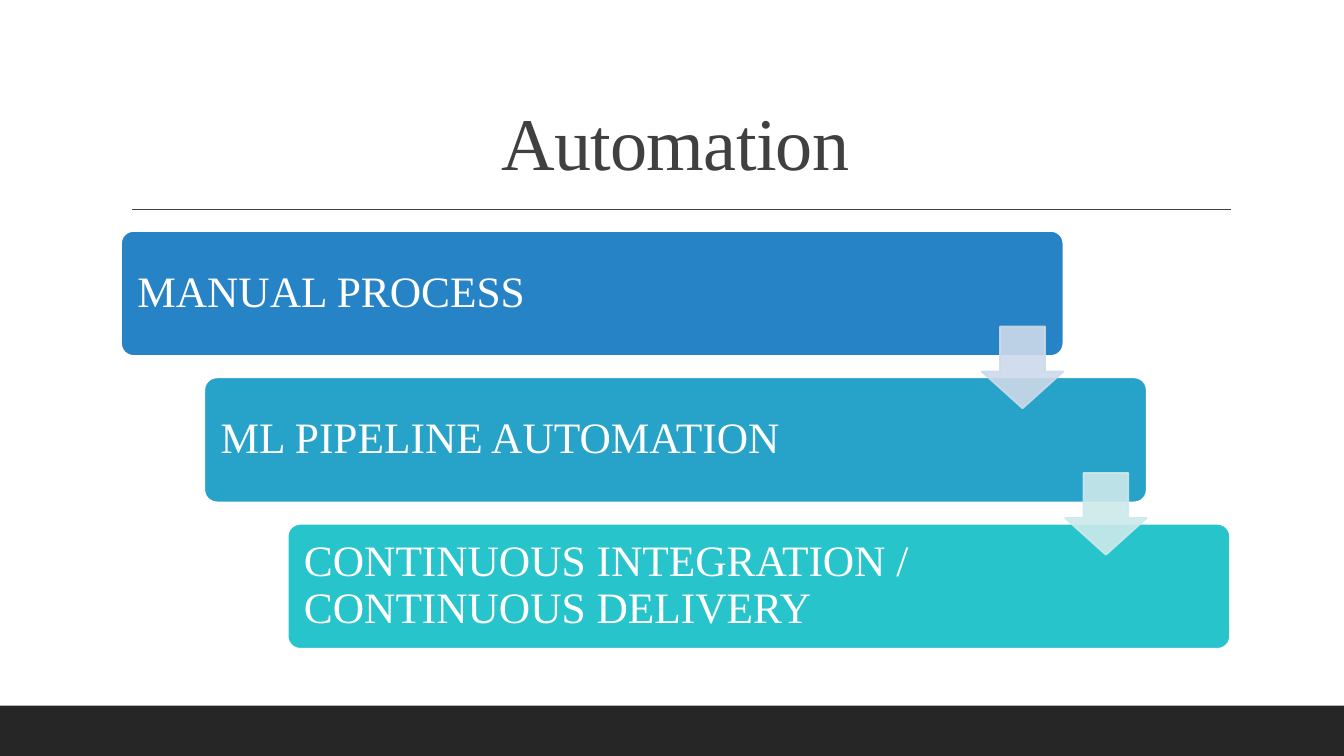
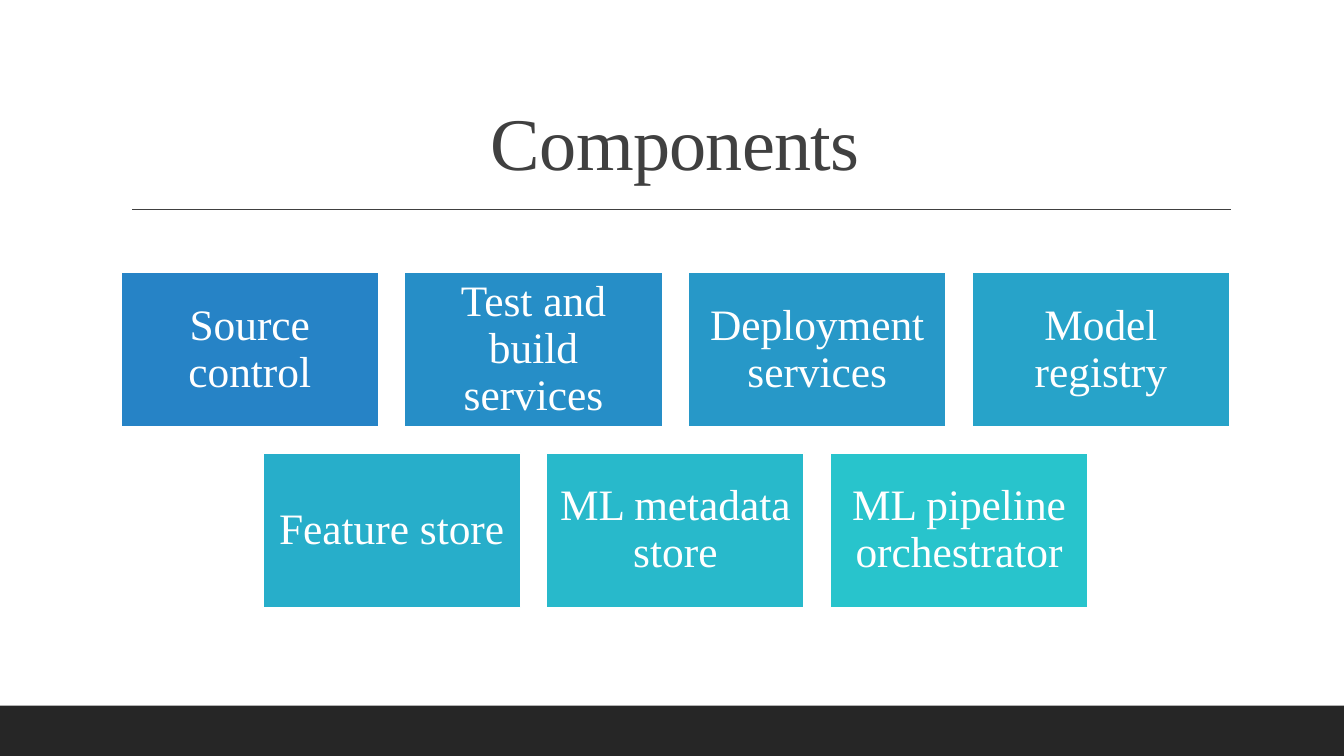
from pptx import Presentation, util as u
from pptx.dml import color
from pptx.enum import shapes, text
from pptx.oxml import ns, xmlchemy

RAMP = ["2683C6", "268EC7", "2798C8", "27A3C9", "27AECA", "28B9CB", "28C4CC"]
STAGES = ["MANUAL PROCESS", "ML PIPELINE AUTOMATION",
          "CONTINUOUS INTEGRATION / CONTINUOUS DELIVERY"]
ARROW_TINTS = ["CDD9EA", "CDE9EC"]
COMPONENT_ROWS = [
    ["Source control", "Test and build services", "Deployment services", "Model registry"],
    ["Feature store", "ML metadata store", "ML pipeline orchestrator"],
]
LEFT, CONTENT_WIDTH = 3.05, 27.94


def rgb(code):
    return color.RGBColor.from_string(code)


class Deck:
    font = "Times New Roman"
    ink, white, dark = "404040", "FFFFFF", "262626"
    title_size, label_size = 53, 31
    inset = 0.32

    def __init__(self):
        self.deck = Presentation()
        self.deck.slide_width, self.deck.slide_height = u.Cm(33.87), u.Cm(19.05)
        self.slide = None

    def start(self, heading):
        self.slide = self.deck.slides.add_slide(self.deck.slide_layouts[5])
        backdrop = self.slide.background.fill
        backdrop.solid()
        backdrop.fore_color.rgb = rgb(self.white)
        self.title(heading)
        self.rule(3.33, 31.01, 5.28)
        self.block(shapes.MSO_SHAPE.RECTANGLE, 0, 17.78, 33.87, 1.27, self.dark)

    def title(self, heading):
        title = self.slide.shapes.title
        title.left, title.top = u.Cm(LEFT), u.Cm(0.79)
        title.width, title.height = u.Cm(CONTENT_WIDTH), u.Cm(4.04)
        frame = title.text_frame
        frame.auto_size = text.MSO_AUTO_SIZE.NONE
        frame.vertical_anchor = text.MSO_ANCHOR.BOTTOM
        run = self.add_words(frame, heading, self.title_size, self.ink, text.PP_ALIGN.CENTER)
        run.font._element.set("spc", "-50")

    def rule(self, start, end, y):
        rule = self.slide.shapes.add_connector(
            shapes.MSO_CONNECTOR.STRAIGHT, u.Cm(start), u.Cm(y), u.Cm(end), u.Cm(y))
        rule.line.color.rgb = rgb(self.ink)
        rule.line.width = u.Pt(1)
        rule._element.spPr.append(xmlchemy.OxmlElement("a:effectLst"))

    def block(self, preset, x, y, width, height, fill, outline=None, adjust=()):
        block = self.slide.shapes.add_shape(
            preset, u.Cm(x), u.Cm(y), u.Cm(width), u.Cm(height))
        block.shadow.inherit = False
        block.fill.solid()
        block.fill.fore_color.rgb = rgb(fill)
        if outline:
            block.line.color.rgb = rgb(outline)
            block.line.width = u.Pt(1.25)
        else:
            block.line.fill.background()
        for index, value in enumerate(adjust):
            block.adjustments[index] = value
        return block

    def label(self, block, words, align, right_inset=None):
        frame = block.text_frame
        frame.margin_left = frame.margin_top = frame.margin_bottom = u.Cm(self.inset)
        frame.margin_right = u.Cm(right_inset or self.inset)
        frame.vertical_anchor = text.MSO_ANCHOR.MIDDLE
        self.add_words(frame, words, self.label_size, self.white, align)

    def add_words(self, frame, words, size, ink, align):
        frame.word_wrap = True
        paragraph = frame.paragraphs[0]
        paragraph.alignment = align
        paragraph.line_spacing = 0.9
        run = paragraph.add_run()
        run.text = words
        run.font.name, run.font.size = self.font, u.Pt(size)
        run.font.color.rgb = rgb(ink)
        return run

    def stage(self, words, x, y, width, height, fill):
        bar = self.block(shapes.MSO_SHAPE.ROUNDED_RECTANGLE, x, y, width, height,
                         fill, self.white, [0.1])
        self.label(bar, words, text.PP_ALIGN.LEFT, 4.47)

    def arrow(self, x, y, size, tint):
        arrow = self.block(shapes.MSO_SHAPE.DOWN_ARROW, x, y, size, size,
                           tint, tint, [0.55, 0.45])
        for shade in arrow._element.spPr.iter(ns.qn("a:srgbClr")):
            alpha = xmlchemy.OxmlElement("a:alpha")
            alpha.set("val", "90000")
            shade.append(alpha)

    def card(self, words, x, y, width, height, fill):
        card = self.block(shapes.MSO_SHAPE.RECTANGLE, x, y, width, height, fill, self.white)
        self.label(card, words, text.PP_ALIGN.CENTER)


def automation(deck):
    deck.start("Automation")
    top, width, height, arrow_size = 5.82, 23.75, 3.15, 2.06
    shift, drop = 2.1, 3.69
    for i, (words, fill) in enumerate(zip(STAGES, RAMP[::3])):
        deck.stage(words, LEFT + i * shift, top + i * drop, width, height, fill)
    for i, tint in enumerate(ARROW_TINTS):
        deck.arrow(LEFT + width - arrow_size + i * shift, top + 2.41 + i * drop,
                   arrow_size, tint)


def components(deck):
    deck.start("Components")
    top, width, height, gap = 6.86, 6.5, 3.9, 0.65
    fills = iter(RAMP)
    for r, row in enumerate(COMPONENT_ROWS):
        row_width = len(row) * (width + gap) - gap
        row_left = LEFT + (CONTENT_WIDTH - row_width) / 2
        for c, words in enumerate(row):
            deck.card(words, row_left + c * (width + gap), top + r * (height + gap),
                      width, height, next(fills))


def main():
    deck = Deck()
    automation(deck)
    components(deck)
    deck.deck.save("out.pptx")


if __name__ == "__main__":
    main()
